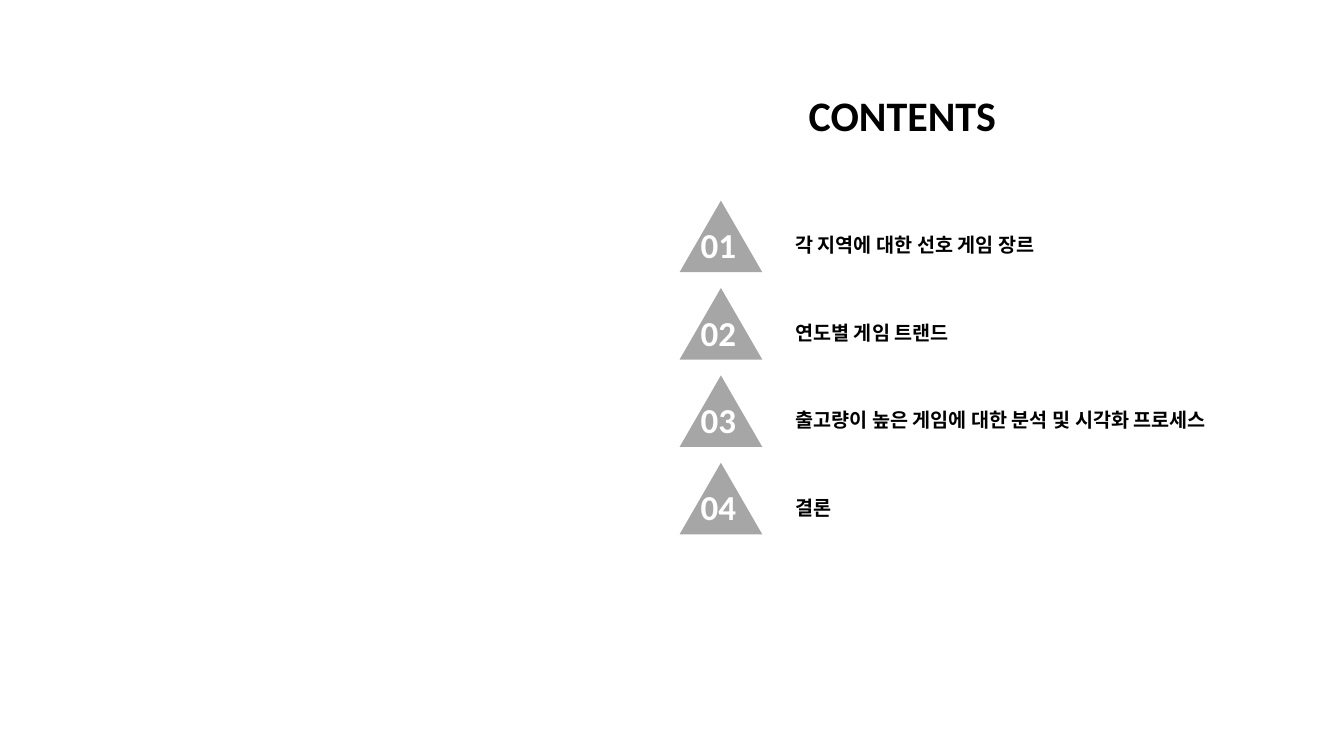
from pptx import Presentation
from pptx.dml.color import RGBColor
from pptx.enum.shapes import MSO_SHAPE as Shape
from pptx.enum.text import MSO_ANCHOR as Anchor, MSO_AUTO_SIZE as Fit, PP_ALIGN as Align
from pptx.util import Inches, Pt

TOPICS = [
    "각 지역에 대한 선호 게임 장르",
    "연도별 게임 트랜드",
    "출고량이 높은 게임에 대한 분석 및 시각화 프로세스",
    "결론",
]
STEP = 0.867


def color(code):
    return RGBColor.from_string(code)


def write(shape, text, size, code, align=Align.LEFT):
    frame = shape.text_frame
    frame.text = text
    frame.word_wrap = True
    frame.auto_size = Fit.SHAPE_TO_FIT_TEXT
    frame.vertical_anchor = Anchor.TOP
    para = frame.paragraphs[0]
    para.alignment = align
    font = para.runs[0].font
    font.name = "Calibri"
    font.size = Pt(size)
    font.bold = True
    font.color.rgb = color(code)


def add_title(slide, x, y, w, h):
    title = slide.shapes.title
    title.left, title.top = Inches(x), Inches(y)
    title.width, title.height = Inches(w), Inches(h)
    write(title, "CONTENTS", 30, "000000", Align.CENTER)


def add_topic(slide, x, y, w, num, topic):
    shapes = slide.shapes.add_group_shape().shapes

    # Triangle marker
    mark = shapes.add_shape(Shape.ISOSCELES_TRIANGLE, Inches(x), Inches(y),
                            Inches(0.82), Inches(0.71))
    mark.shadow.inherit = False
    mark.fill.solid()
    mark.fill.fore_color.rgb = color("A6A6A6")
    mark.line.fill.background()

    # Topic and its number
    label = shapes.add_textbox(Inches(x + 1.05), Inches(y + 0.275),
                               Inches(w - 1.05), Inches(0.34))
    write(label, topic, 14, "000000")
    digits = shapes.add_textbox(Inches(x + 0.11), Inches(y + 0.18),
                                Inches(0.63), Inches(0.52))
    write(digits, f"{num:02}", 25, "FFFFFF")


def add_topics(slide, x, y, w):
    for i, topic in enumerate(TOPICS):
        add_topic(slide, x, y + i * STEP, w, i + 1, topic)


def main():
    deck = Presentation()
    deck.slide_width, deck.slide_height = Inches(13.33), Inches(7.5)
    slide = deck.slides.add_slide(deck.slide_layouts[5])
    add_title(slide, 7.69, 0.84, 2.52, 0.61)
    add_topics(slide, 6.74, 1.99, 6.11)
    deck.save("out.pptx")


if __name__ == "__main__":
    main()
